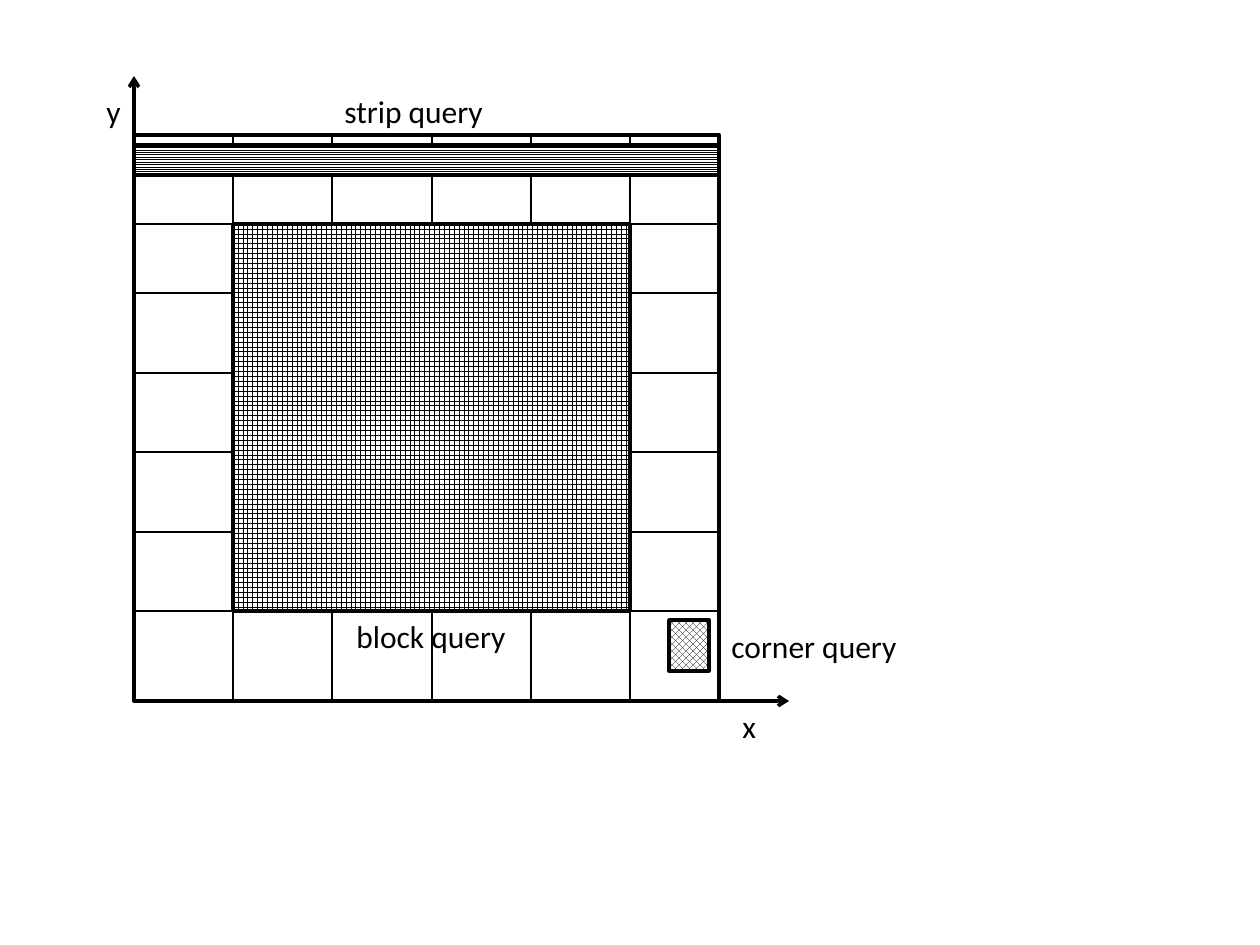
import pptx
import pptx.util
import pptx.dml.color
import pptx.enum.dml
import pptx.enum.shapes
import pptx.enum.text
import pptx.oxml
import pptx.oxml.ns
from lxml import etree

BLACK = pptx.dml.color.RGBColor(0x00, 0x00, 0x00)
WHITE = pptx.dml.color.RGBColor(0xFF, 0xFF, 0xFF)
PATTERN = pptx.enum.dml.MSO_PATTERN
EMU_PER_PIXEL = 914400 / 126


def emu(pixels):
    return pptx.util.Emu(round(pixels * EMU_PER_PIXEL))


class Diagram:
    font = "Calibri"
    text_size = 18
    grid_width = 1.5
    outline_width = 2

    def __init__(self, slide):
        self.slide = slide

    def line(self, x1, y1, x2, y2, width=grid_width, arrow=False):
        connector = self.slide.shapes.add_connector(
            pptx.enum.shapes.MSO_CONNECTOR.STRAIGHT,
            emu(x1), emu(y1), emu(x2), emu(y2))
        connector.line.color.rgb = BLACK
        connector.line.width = pptx.util.Pt(width)
        if arrow:
            outline = connector.line._get_or_add_ln()
            etree.SubElement(outline, pptx.oxml.ns.qn("a:tailEnd"), type="arrow")
        etree.SubElement(connector._element.spPr, pptx.oxml.ns.qn("a:effectLst"))

    def box(self, left, top, width, height, pattern=None):
        shape = self.slide.shapes.add_shape(
            pptx.enum.shapes.MSO_SHAPE.RECTANGLE,
            emu(left), emu(top), emu(width), emu(height))
        shape.shadow.inherit = False
        shape.line.color.rgb = BLACK
        shape.line.width = pptx.util.Pt(self.outline_width)
        if pattern is None:
            shape.fill.background()
        else:
            shape.fill.patterned()
            shape.fill.pattern = pattern
            shape.fill.fore_color.rgb = BLACK
            shape.fill.back_color.rgb = WHITE

    def label(self, text, left, top, width, height=50):
        frame = self.slide.shapes.add_textbox(
            emu(left), emu(top), emu(width), emu(height)).text_frame
        frame.word_wrap = False
        frame.auto_size = pptx.enum.text.MSO_AUTO_SIZE.SHAPE_TO_FIT_TEXT
        run = frame.paragraphs[0].add_run()
        run.text = text
        run.font.name = self.font
        run.font.size = pptx.util.Pt(self.text_size)
        run.font.color.rgb = BLACK


presentation = pptx.Presentation()
presentation.slide_width = pptx.util.Inches(10)
presentation.slide_height = pptx.util.Inches(7.5)
diagram = Diagram(presentation.slides.add_slide(presentation.slide_layouts[6]))

# Extent of the data space and positions of its grid lines
LEFT, TOP, RIGHT, BOTTOM = 134, 135, 719, 701
columns = [LEFT + round(99.2 * i) for i in range(1, 6)]
rows = [224] + [611 - round(79.4 * i) for i in range(4, -1, -1)]

# Grid
for x in columns:
    diagram.line(x, BOTTOM, x, TOP)
for y in rows:
    diagram.line(LEFT, y, RIGHT, y)
diagram.box(LEFT, TOP, RIGHT - LEFT, BOTTOM - TOP)

# Axes
diagram.line(LEFT, BOTTOM, 789, BOTTOM, Diagram.outline_width, arrow=True)
diagram.line(LEFT, BOTTOM, LEFT, 76, Diagram.outline_width, arrow=True)
diagram.label("x", 730, 701, 39)
diagram.label("y", 94, 86, 40)

# Block query
diagram.box(columns[0], rows[0], columns[-1] - columns[0], rows[-1] - rows[0],
            PATTERN.LARGE_GRID)
diagram.label("block query", 344, 611, 176)

# Strip query
diagram.box(LEFT, 145, RIGHT - LEFT, 30, PATTERN.LIGHT_HORIZONTAL)
diagram.label("strip query", 332, 86, 165)

# Corner query
diagram.box(669, 620, 40, 51, PATTERN.OUTLINED_DIAMOND)
diagram.label("corner query", 719, 621, 193)

presentation.save("out.pptx")
